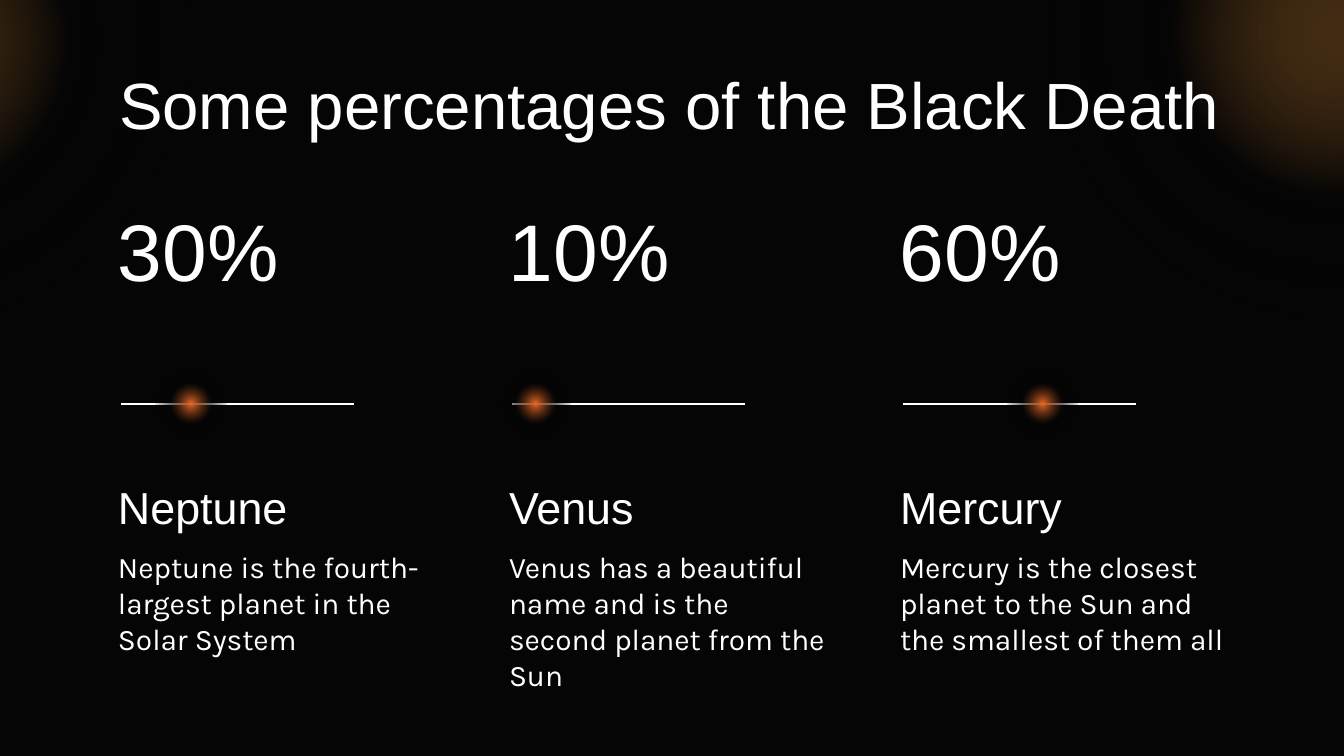
from dataclasses import dataclass

from lxml import etree
from pptx import Presentation
from pptx.dml.color import RGBColor
from pptx.enum.shapes import MSO_CONNECTOR, MSO_SHAPE
from pptx.enum.text import MSO_ANCHOR, MSO_AUTO_SIZE, PP_ALIGN
from pptx.oxml.ns import qn
from pptx.util import Emu, Pt

TOP, MIDDLE, BOTTOM = MSO_ANCHOR.TOP, MSO_ANCHOR.MIDDLE, MSO_ANCHOR.BOTTOM
LEFT = PP_ALIGN.LEFT
NO_FIT = MSO_AUTO_SIZE.NONE
ELLIPSE = MSO_SHAPE.OVAL
STRAIGHT = MSO_CONNECTOR.STRAIGHT
TITLE_ONLY = 5
EMU_PER_PX = 914400 / 134.4


@dataclass(frozen=True)
class Theme:
    background: str = "050505"
    text: str = "FFFFFF"
    glow: str = "E69138"
    marker: str = "E76A28"
    heading_font: str = "Arial"
    body_font: str = "Karla"
    title_size: int = 35
    percent_size: int = 43
    name_size: int = 24
    body_size: int = 16
    line_width: float = 1.5


THEME = Theme()

PLANETS = [
    ("Neptune", 30, "Neptune is the fourth-largest planet in the Solar System"),
    ("Venus", 10, "Venus has a beautiful name and is the second planet from the Sun"),
    ("Mercury", 60, "Mercury is the closest planet to the Sun and the smallest of them all"),
]
COLUMN_LEFT, COLUMN_STEP, COLUMN_WIDTH = 105, 391, 351
SCALE_INDENT, SCALE_LENGTH, SCALE_Y = 16, 233, 404
MARKER_SIZE = 70
GLOW_SIZE = 569
INSET = 13


def px(length):
    return Emu(round(length * EMU_PER_PX))


def color(hex_value):
    return RGBColor.from_string(hex_value)


def write(box, text, size, font, anchor=TOP, line_spacing=1.0):
    frame = box.text_frame
    frame.word_wrap = True
    frame.auto_size = NO_FIT
    frame.vertical_anchor = anchor
    frame.margin_left = frame.margin_right = px(INSET)
    frame.margin_top = frame.margin_bottom = px(INSET)
    frame.text = text
    paragraph = frame.paragraphs[0]
    paragraph.alignment = LEFT
    paragraph.line_spacing = line_spacing
    paragraph.font.size = Pt(size)
    paragraph.font.name = font
    paragraph.font.color.rgb = color(THEME.text)


def add_text(slide, left, top, width, height, *text_style):
    box = slide.shapes.add_textbox(px(left), px(top), px(width), px(height))
    write(box, *text_style)


def add_glow(slide, left, top, size, center_color, center_alpha):
    """Add a circle that fades from its centre into the background."""
    glow = slide.shapes.add_shape(ELLIPSE, px(left), px(top), px(size), px(size))
    glow.shadow.inherit = False
    glow.line.fill.background()
    glow.fill.background()

    gradient = etree.Element(qn("a:gradFill"), rotWithShape="1")
    stops = etree.SubElement(gradient, qn("a:gsLst"))
    for position, rgb, alpha in [
        (0, center_color, center_alpha),
        (41, THEME.background, 54),
        (78, THEME.background, 0),
        (100, THEME.background, 0),
    ]:
        stop = etree.SubElement(stops, qn("a:gs"), pos=str(position * 1000))
        stop_color = etree.SubElement(stop, qn("a:srgbClr"), val=rgb)
        etree.SubElement(stop_color, qn("a:alpha"), val=str(alpha * 1000))
    circle = etree.SubElement(gradient, qn("a:path"), path="circle")
    etree.SubElement(circle, qn("a:fillToRect"), l="50000", t="50000", r="50000", b="50000")

    properties = glow.element.spPr
    properties.replace(properties.find(qn("a:noFill")), gradient)


def add_scale(slide, left, percent):
    """Add a line with a glowing marker at the given share of its length."""
    line = slide.shapes.add_connector(
        STRAIGHT, px(left), px(SCALE_Y), px(left + SCALE_LENGTH), px(SCALE_Y)
    )
    line.line.color.rgb = color(THEME.text)
    line.line.width = Pt(THEME.line_width)
    etree.SubElement(line.element.spPr, qn("a:effectLst"))

    marker_left = left + SCALE_LENGTH * percent / 100 - MARKER_SIZE / 2
    add_glow(slide, marker_left, SCALE_Y - MARKER_SIZE / 2, MARKER_SIZE, THEME.marker, 100)


def add_planet(slide, left, name, percent, description):
    heading = THEME.heading_font
    add_scale(slide, left + SCALE_INDENT, percent)
    add_text(slide, left, 199, 243, 118, f"{percent}%", THEME.percent_size, heading, MIDDLE, 0.8)
    add_text(slide, left, 472, COLUMN_WIDTH, 74, name, THEME.name_size, heading, BOTTOM, 0.8)
    add_text(slide, left, 536, COLUMN_WIDTH, 126, description, THEME.body_size, THEME.body_font)


def place_title(slide, text):
    title = slide.shapes.title
    title.left, title.top, title.width, title.height = px(106), px(66), px(1133), px(85)
    write(title, text, THEME.title_size, THEME.heading_font, TOP, 0.8)
    # Appending an element again brings it in front of the glows.
    title.element.getparent().append(title.element)


def main():
    presentation = Presentation()
    presentation.slide_width, presentation.slide_height = px(1344), px(756)
    slide = presentation.slides.add_slide(presentation.slide_layouts[TITLE_ONLY])
    slide.background.fill.solid()
    slide.background.fill.fore_color.rgb = color(THEME.background)

    for left, top in [(1050, -253), (-380, -245)]:
        add_glow(slide, left, top, GLOW_SIZE, THEME.glow, 27)
    place_title(slide, "Some percentages of the Black Death")
    for column, planet in enumerate(PLANETS):
        add_planet(slide, COLUMN_LEFT + column * COLUMN_STEP, *planet)

    presentation.save("out.pptx")


if __name__ == "__main__":
    main()
